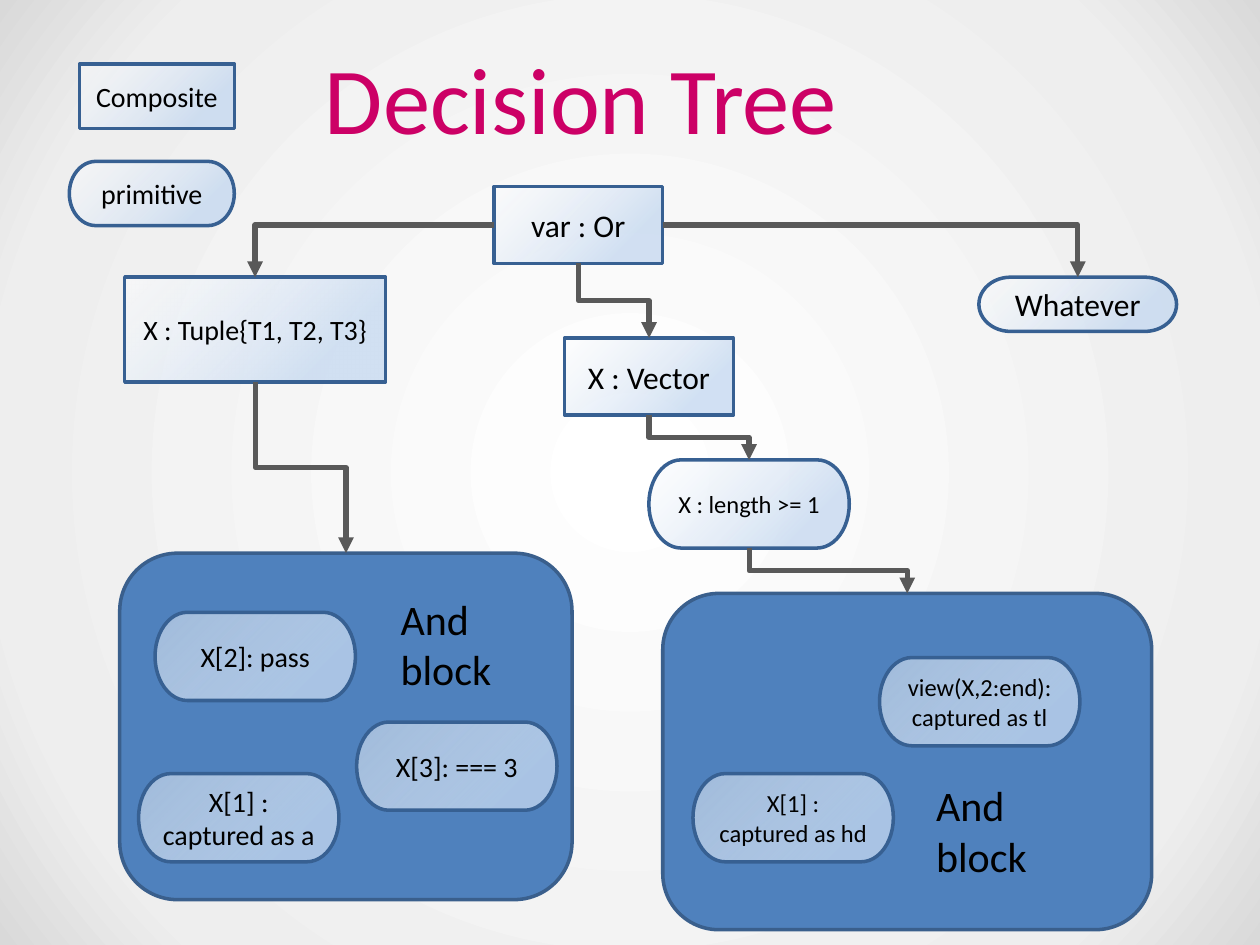
import lxml.etree
import pptx
import pptx.util
import pptx.dml.color
import pptx.enum.shapes
import pptx.enum.text
import pptx.oxml
import pptx.oxml.ns

Pt = pptx.util.Pt
qn = pptx.oxml.ns.qn
SHAPES = pptx.enum.shapes.MSO_SHAPE

COLORS = {
    "title": "CC0066", "text": "000000", "block": "4F81BD", "block_line": "3A5F8C",
    "node_start": "FFFFFF", "node_end": "C6D9F1", "node_line": "376092", "arrow": "595959",
}
BACKGROUND_STOPS = [(0, "FFFFFF"), (81, "EEEEEE"), (100, "D9D9D9")]
NODE_STOPS = [(0, "node_start", 46), (0.77, "node_end", 77)]

BOX = (96.5, 43.9)
LEAF = (114.5, 50.4)
COMPOSITE = SHAPES.FLOWCHART_PROCESS
PRIMITIVE = SHAPES.FLOWCHART_TERMINATOR

BLOCKS = {
    "vector block": (378.7, 339.1, 279.4, 192.2),
    "tuple block": (68.4, 316.1, 258.5, 198),
}
NODES = [
    ("whatever", PRIMITIVE, (559.4, 158.4), (113, 31), 18, "Whatever"),
    ("first", PRIMITIVE, (79.2, 442.1), LEAF, 16, "X[1] :\ncaptured as a"),
    ("or", COMPOSITE, (282.2, 106.6), BOX, 18, "var : Or"),
    ("tuple", COMPOSITE, (71.3, 158.4), (149, 59.8), 16, "X : Tuple{T1, T2, T3}"),
    ("vector", COMPOSITE, (322.6, 193.2), BOX, 18, "X : Vector"),
    ("second", PRIMITIVE, (88.6, 349.9), LEAF, 16, "X[2]: pass"),
    ("third", PRIMITIVE, (203.8, 412.6), LEAF, 16, "X[3]: === 3"),
    ("head", PRIMITIVE, (396, 442.1), LEAF, 14, "X[1] :\ncaptured as hd"),
    ("length", PRIMITIVE, (370.8, 262.8), LEAF, 14, "X : length >= 1"),
    ("tail", PRIMITIVE, (502.6, 375.8), LEAF, 14, "view(X,2:end):\ncaptured as tl"),
    ("composite key", COMPOSITE, (45.4, 36.7), (88.6, 36.7), 16, "Composite"),
    ("primitive key", PRIMITIVE, (39.6, 92.2), (94.3, 36.7), 16, "primitive"),
]
TOP, LEFT, BOTTOM, RIGHT = range(4)
ARROWS = [
    ("or", RIGHT, "whatever"),
    ("or", LEFT, "tuple"),
    ("or", BOTTOM, "vector"),
    ("tuple", BOTTOM, "tuple block"),
    ("vector", BOTTOM, "length"),
    ("length", BOTTOM, "vector block"),
]
LABELS = [
    ("Decision Tree", (178.6, 19.4, 635, 72.7), 54, "title"),
    ("And block", (221.8, 335.5, 108, 65.4), 24, "text"),
    ("And block", (527.8, 442.1, 108, 65.4), 24, "text"),
]


def rgb(name):
    return pptx.dml.color.RGBColor.from_string(COLORS[name])


def paint_background(slide):
    slide.background.fill.solid()
    stops = "".join(
        f'<a:gs pos="{position * 1000}"><a:srgbClr val="{color}"/></a:gs>'
        for position, color in BACKGROUND_STOPS)
    gradient = pptx.oxml.parse_xml(
        f'<a:gradFill {pptx.oxml.ns.nsdecls("a")} rotWithShape="1"><a:gsLst>{stops}</a:gsLst>'
        '<a:path path="circle"><a:fillToRect l="50000" t="50000" r="50000" b="50000"/></a:path>'
        '</a:gradFill>')
    solid = next(slide.element.iter(qn("a:solidFill")))
    solid.getparent().replace(solid, gradient)


def add_shape(slide, kind, bounds, line):
    shape = slide.shapes.add_shape(kind, *map(Pt, bounds))
    shape.shadow.inherit = False
    shape.line.color.rgb = rgb(line)
    shape.line.width = Pt(2)
    return shape


def fill_node(shape):
    shape.fill.gradient()
    shape.fill.gradient_angle = 315
    elements = list(shape.element.spPr.iter(qn("a:gs")))
    for stop, element, (position, color, opacity) in zip(
            shape.fill.gradient_stops, elements, NODE_STOPS):
        stop.position = position
        stop.color.rgb = rgb(color)
        lxml.etree.SubElement(element[0], qn("a:alpha"), val=str(opacity * 1000))


def write(shape, text, size, color, alignment=None):
    shape.text_frame.word_wrap = True
    shape.text_frame.text = text
    for paragraph in shape.text_frame.paragraphs:
        paragraph.alignment = alignment
        paragraph.font.size = Pt(size)
        paragraph.font.name = "Calibri"
        paragraph.font.color.rgb = rgb(color)


def add_arrow(slide, start, side, end):
    connector = slide.shapes.add_connector(pptx.enum.shapes.MSO_CONNECTOR.ELBOW, 0, 0, 0, 0)
    connector.begin_connect(start, side)
    connector.end_connect(end, TOP)
    connector.line.color.rgb = rgb("arrow")
    connector.line.width = Pt(3)
    properties = connector.element.spPr
    if side == BOTTOM:
        across, down = connector.width, connector.height
        connector.left += (across - down) // 2
        connector.top += (down - across) // 2
        connector.width, connector.height = down, across
        properties.xfrm.set("rot", str(270 * 60000))
        properties.xfrm.set("flipH", "1")
    else:
        properties.find(qn("a:prstGeom")).set("prst", "bentConnector2")
    lxml.etree.SubElement(properties.find(qn("a:ln")), qn("a:tailEnd"), type="triangle")
    lxml.etree.SubElement(properties, qn("a:effectLst"))


def main():
    presentation = pptx.Presentation()
    presentation.slide_width, presentation.slide_height = Pt(720), Pt(540)
    slide = presentation.slides.add_slide(presentation.slide_layouts[6])
    paint_background(slide)

    shapes = {}
    for name, bounds in BLOCKS.items():
        block = add_shape(slide, SHAPES.ROUNDED_RECTANGLE, bounds, "block_line")
        block.fill.solid()
        block.fill.fore_color.rgb = rgb("block")
        shapes[name] = block
    for name, kind, position, size, font_size, text in NODES:
        node = add_shape(slide, kind, position + size, "node_line")
        fill_node(node)
        node.text_frame.vertical_anchor = pptx.enum.text.MSO_ANCHOR.MIDDLE
        write(node, text, font_size, "text", pptx.enum.text.PP_ALIGN.CENTER)
        shapes[name] = node
    for start, side, end in ARROWS:
        add_arrow(slide, shapes[start], side, shapes[end])
    for text, bounds, size, color in LABELS:
        label = slide.shapes.add_textbox(*map(Pt, bounds))
        write(label, text, size, color)

    presentation.save("out.pptx")


if __name__ == "__main__":
    main()
